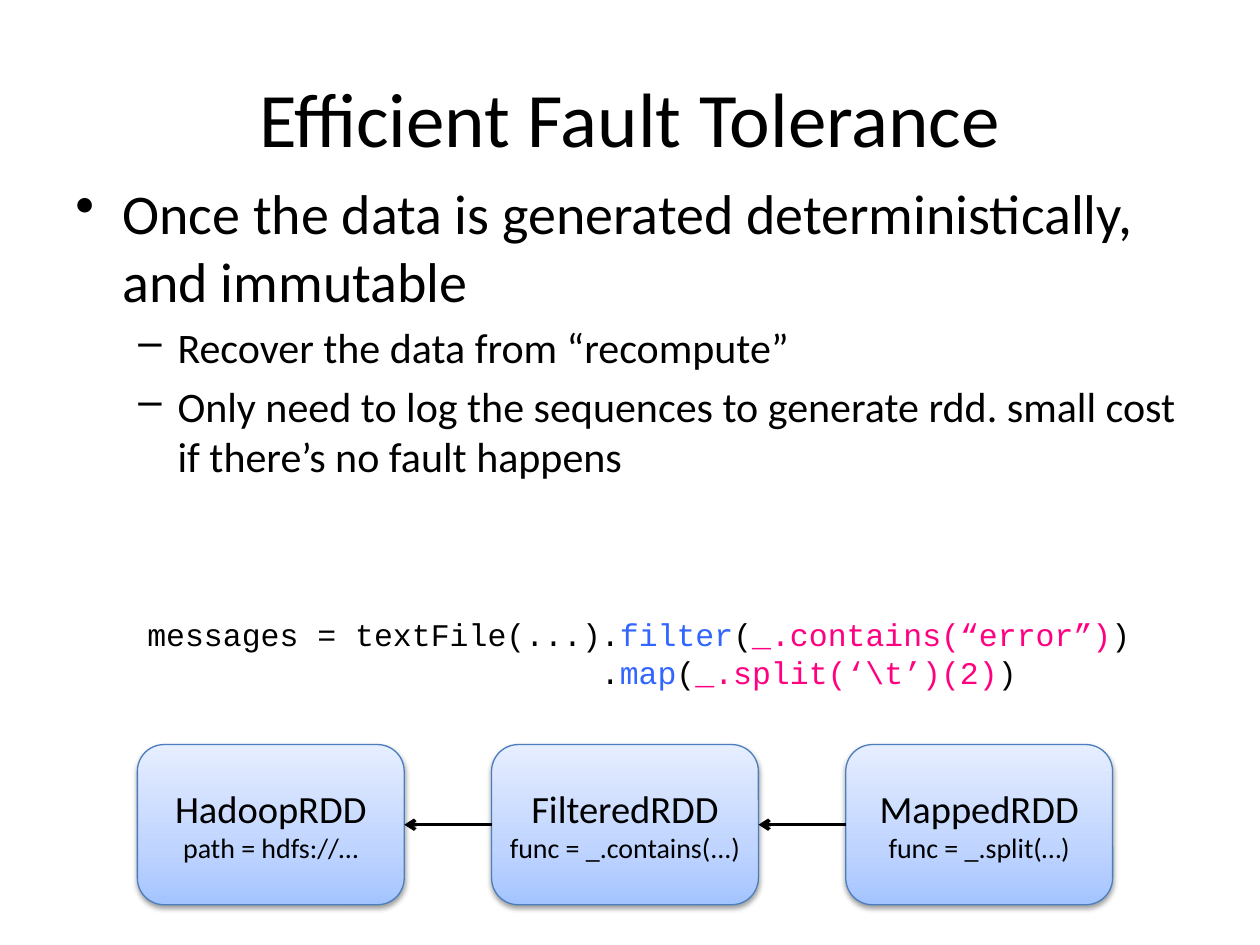
from pptx import Presentation
from pptx.dml.color import RGBColor
from pptx.enum.shapes import MSO_CONNECTOR, MSO_SHAPE
from pptx.enum.text import MSO_ANCHOR, PP_ALIGN
from pptx.oxml import parse_xml
from pptx.oxml.ns import nsdecls
from pptx.util import Cm, Pt

BLACK, BLUE, PINK = "000000", "3366FF", "FF0080"
BOX_LINE = "4B7EBC"
BOX_GRADIENT = [(0, "A4C4FF"), (35, "BFD4FF"), (100, "E6EEFF")]

TITLE = "Efficient Fault Tolerance"
POINTS = [
    (0, "Once the data is generated deterministically, and immutable"),
    (1, "Recover the data from “recompute”"),
    (1, "Only need to log the sequences to generate rdd. small cost "
        "if there’s no fault happens"),
]
# Per level: bullet, size in points, left margin and hanging indent in cm
LEVELS = [("•", 32, 0.95, 0.95), ("–", 24, 2.06, 0.79)]
# Per line: indent in characters, coloured pieces
CODE = [
    (0, [("messages = textFile(...).", BLACK), ("filter", BLUE), ("(", BLACK),
         ("_.contains(“error”)", PINK), (")", BLACK)]),
    (24, [(".", BLACK), ("map", BLUE), ("(", BLACK),
          ("_.split(‘\\t’)(2)", PINK), (")", BLACK)]),
]
CODE_SIZE = 18
CHAR_WIDTH = 0.6 * CODE_SIZE  # a Courier New character, in points
LINEAGE = [
    ("HadoopRDD", "path = hdfs://…"),
    ("FilteredRDD", "func = _.contains(...)"),
    ("MappedRDD", "func = _.split(…)"),
]
BOX_LEFT, BOX_TOP, BOX_WIDTH, BOX_HEIGHT, BOX_STEP = 2.77, 15.01, 5.38, 3.23, 7.14


def rgb(value):
    return RGBColor.from_string(value)


def set_font(font, size, name="Calibri", color=BLACK):
    font.size, font.name = Pt(size), name
    font.color.rgb = rgb(color)


def add_frame(slide, left, top, width, height):
    frame = slide.shapes.add_textbox(Cm(left), Cm(top), Cm(width), Cm(height)).text_frame
    frame.word_wrap = True
    return frame


def paragraphs(frame, count):
    """Return count paragraphs, the first being the one already in the frame."""
    return [frame.paragraphs[0]] + [frame.add_paragraph() for _ in range(count - 1)]


def add_xml(parent, xml):
    """Append an element of the drawing namespace; its tag is the first word."""
    tag = xml.split()[0].strip("<>/")
    parent.append(parse_xml(xml.replace(tag, f"{tag} {nsdecls('a')}", 1)))


def add_title(slide):
    frame = add_frame(slide, 1.27, 0.76, 22.86, 3.18)
    frame.vertical_anchor = MSO_ANCHOR.MIDDLE
    title = frame.paragraphs[0]
    title.text, title.alignment = TITLE, PP_ALIGN.CENTER
    set_font(title.font, 44)


def add_points(slide):
    frame = add_frame(slide, 1.27, 3.48, 22.86, 12.57)
    for point, (level, text) in zip(paragraphs(frame, len(POINTS)), POINTS):
        bullet, size, margin, hanging = LEVELS[level]
        point.text, point.level = text, level
        point.space_before = Pt(0.2 * size)
        set_font(point.font, size)
        props = point._p.get_or_add_pPr()
        props.set("marL", str(Cm(margin)))
        props.set("indent", str(-Cm(hanging)))
        bullet_xml = f'<a:buChar char="{bullet}"/>'
        props.insert_element_before(
            parse_xml(bullet_xml.replace(" ", f" {nsdecls('a')} ", 1)), "a:defRPr")


def add_code(slide):
    frame = add_frame(slide, 2.72, 12.27, 21.03, 2.57)
    for line, (indent, pieces) in zip(paragraphs(frame, len(CODE)), CODE):
        line._p.get_or_add_pPr().set("marL", str(Pt(indent * CHAR_WIDTH)))
        for text, color in pieces:
            run = line.add_run()
            run.text = text
            set_font(run.font, CODE_SIZE, "Courier New", color)


def add_box(slide, left, texts):
    box = slide.shapes.add_shape(MSO_SHAPE.ROUNDED_RECTANGLE, Cm(left), Cm(BOX_TOP),
                                 Cm(BOX_WIDTH), Cm(BOX_HEIGHT))
    props = box._element.spPr
    stops = "".join(f'<a:gs pos="{pos * 1000}"><a:srgbClr val="{color}"/></a:gs>'
                    for pos, color in BOX_GRADIENT)
    add_xml(props, f'<a:gradFill rotWithShape="1"><a:gsLst>{stops}</a:gsLst>'
                   '<a:lin ang="16200000" scaled="0"/></a:gradFill>')
    box.line.color.rgb = rgb(BOX_LINE)
    box.line.width = Pt(0.75)
    add_xml(props, f'<a:effectLst ><a:outerShdw blurRad="{Pt(3.1)}" dist="{Pt(1.6)}" '
                   'dir="5400000" rotWithShape="0"><a:srgbClr val="000000">'
                   '<a:alpha val="38000"/></a:srgbClr></a:outerShdw></a:effectLst>')
    frame = box.text_frame
    frame.margin_left = frame.margin_right = 0
    frame.vertical_anchor = MSO_ANCHOR.MIDDLE
    for label, text, size in zip(paragraphs(frame, 2), texts, (22, 16)):
        label.text, label.alignment = text, PP_ALIGN.CENTER
        set_font(label.font, size)
    return box


def add_arrow(slide, child, parent):
    arrow = slide.shapes.add_connector(MSO_CONNECTOR.STRAIGHT, 0, 0, 0, 0)
    arrow.begin_connect(child, 1)
    arrow.end_connect(parent, 3)
    arrow.line.color.rgb = rgb(BLACK)
    arrow.line.width = Pt(2)
    add_xml(arrow.line._get_or_add_ln(), '<a:tailEnd type="arrow"/>')
    add_xml(arrow._element.spPr, "<a:effectLst />")


def main():
    deck = Presentation()
    deck.slide_width, deck.slide_height = Cm(25.4), Cm(19.05)
    slide = deck.slides.add_slide(deck.slide_layouts[6])
    add_title(slide)
    add_points(slide)
    add_code(slide)
    boxes = [add_box(slide, BOX_LEFT + i * BOX_STEP, texts)
             for i, texts in enumerate(LINEAGE)]
    for parent, child in zip(boxes, boxes[1:]):
        add_arrow(slide, child, parent)
    deck.save("out.pptx")


if __name__ == "__main__":
    main()
